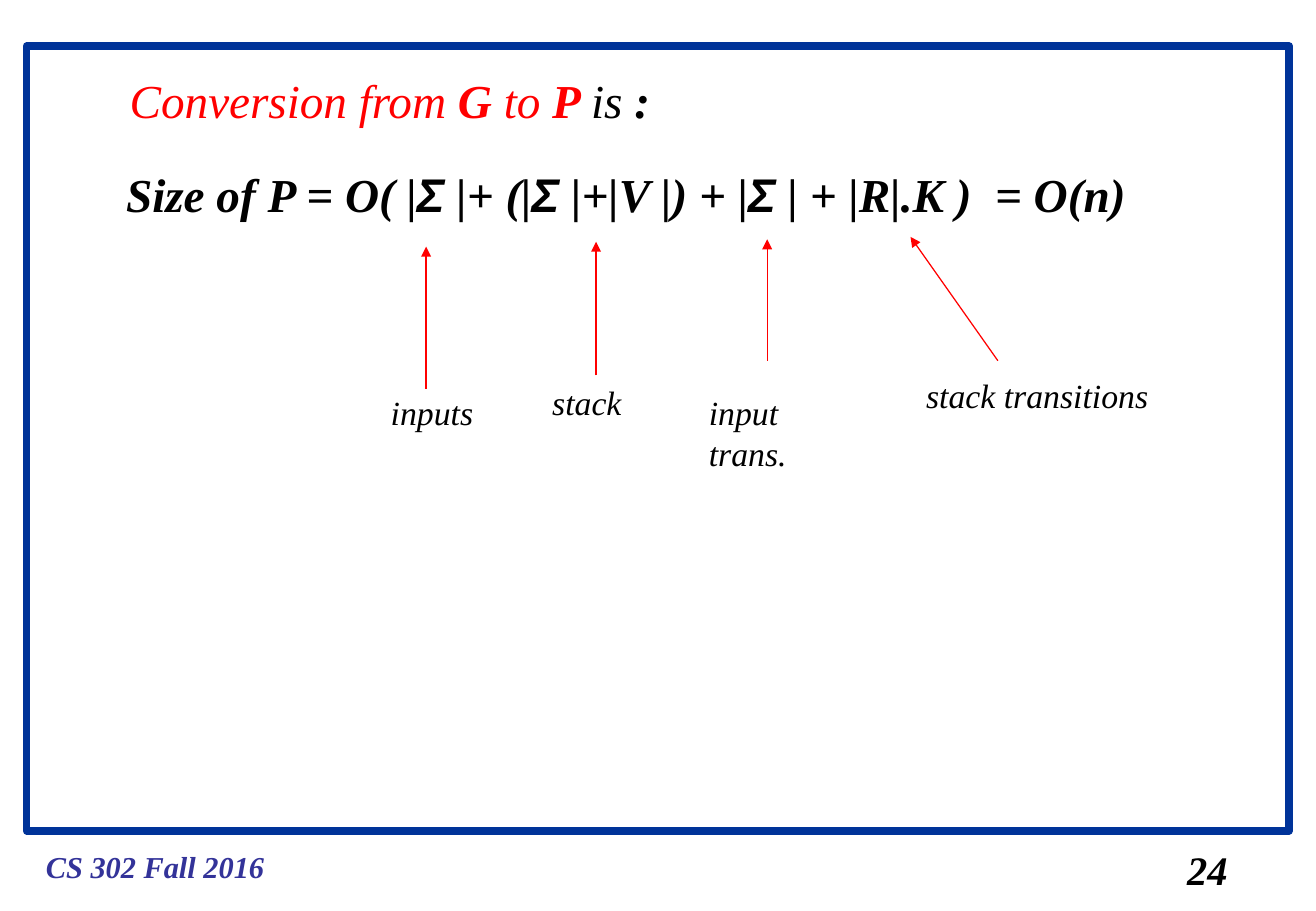
import pptx
import pptx.util
import pptx.dml.color
import pptx.enum.shapes
import pptx.enum.text
import lxml.etree

SCALE = 9144
SIZE = (1084, 750)
FRAME = (22, 38, 1040, 646)

THEME = {
    "ink": "000000", "key": "FF0000", "foot": "333399", "frame": "003399",
    "serif": "Times New Roman", "sans": "Arial",
    "head": 28, "page": 24, "label": 20, "course": 18,
    "rule": 4.5, "arrow": 0.75,
}

BOLD = {"bold": True}
RED = {"color": "key"}
SIGMA = ("Σ", {"bold": True, "font": "sans"})

TEXTS = [
    ((28, 693, 200, 40), "course", [("CS 302 Fall 2016", {"bold": True, "color": "foot"})]),
    ((968, 691, 53, 50), "page", [("24", BOLD)]),
    ((97, 54, 451, 57), "head", [
        ("Conversion from ", RED), ("G", RED | BOLD), (" to ", RED),
        ("P ", RED | BOLD), ("is", {}), (" :", BOLD),
    ]),
    ((94, 131, 845, 57), "head", [
        ("Size of P = O( |", BOLD), SIGMA, (" |+ (|", BOLD), SIGMA,
        (" |+|V |) + |", BOLD), SIGMA, (" | + |R|.K )  = O(n)", BOLD),
    ]),
]

TERMS = [
    ("inputs", (312, 318, 88, 44), (351, 320, 351, 203)),
    ("stack", (445, 309, 77, 44), (491, 309, 491, 199)),
    ("input trans.", (574, 318, 148, 44), (632, 297, 632, 197)),
    ("stack transitions", (753, 304, 203, 44), (822, 297, 750, 195)),
]


def px(*nums):
    return [pptx.util.Emu(num * SCALE) for num in nums]


def hue(name):
    return pptx.dml.color.RGBColor.from_string(THEME[name])


def apply(item, form):
    for name, value in form.items():
        setattr(item, name, value)


def stroke(item, color, width):
    item.line.color.rgb = hue(color)
    item.line.width = pptx.util.Pt(THEME[width])


def write(slide, box, size, runs):
    frame = slide.shapes.add_textbox(*px(*box)).text_frame
    apply(frame, {
        "word_wrap": False,
        "auto_size": pptx.enum.text.MSO_AUTO_SIZE.SHAPE_TO_FIT_TEXT,
    })
    for text, form in runs:
        run = frame.paragraphs[0].add_run()
        run.text = text
        apply(run.font, {
            "name": THEME[form.get("font", "serif")],
            "size": pptx.util.Pt(THEME[size]),
            "bold": form.get("bold", False),
            "italic": True,
        })
        run.font.color.rgb = hue(form.get("color", "ink"))


def point(slide, ends):
    kind = pptx.enum.shapes.MSO_CONNECTOR.STRAIGHT
    arrow = slide.shapes.add_connector(kind, *px(*ends))
    stroke(arrow, "key", "arrow")
    props = arrow.element.spPr
    tail = lxml.etree.SubElement(arrow.line._get_or_add_ln(), pptx.oxml.ns.qn("a:tailEnd"))
    tail.set("type", "triangle")
    lxml.etree.SubElement(props, pptx.oxml.ns.qn("a:effectLst"))


def main():
    deck = pptx.Presentation()
    wide, high = px(*SIZE)
    apply(deck, {"slide_width": wide, "slide_height": high})
    slide = deck.slides.add_slide(deck.slide_layouts[6])
    kind = pptx.enum.shapes.MSO_SHAPE.RECTANGLE
    frame = slide.shapes.add_shape(kind, *px(*FRAME))
    frame.shadow.inherit = False
    frame.fill.background()
    stroke(frame, "frame", "rule")
    for box, size, runs in TEXTS:
        write(slide, box, size, runs)
    for label, box, ends in TERMS:
        point(slide, ends)
        write(slide, box, "label", [(label, {})])
    deck.save("out.pptx")


if __name__ == "__main__":
    main()
